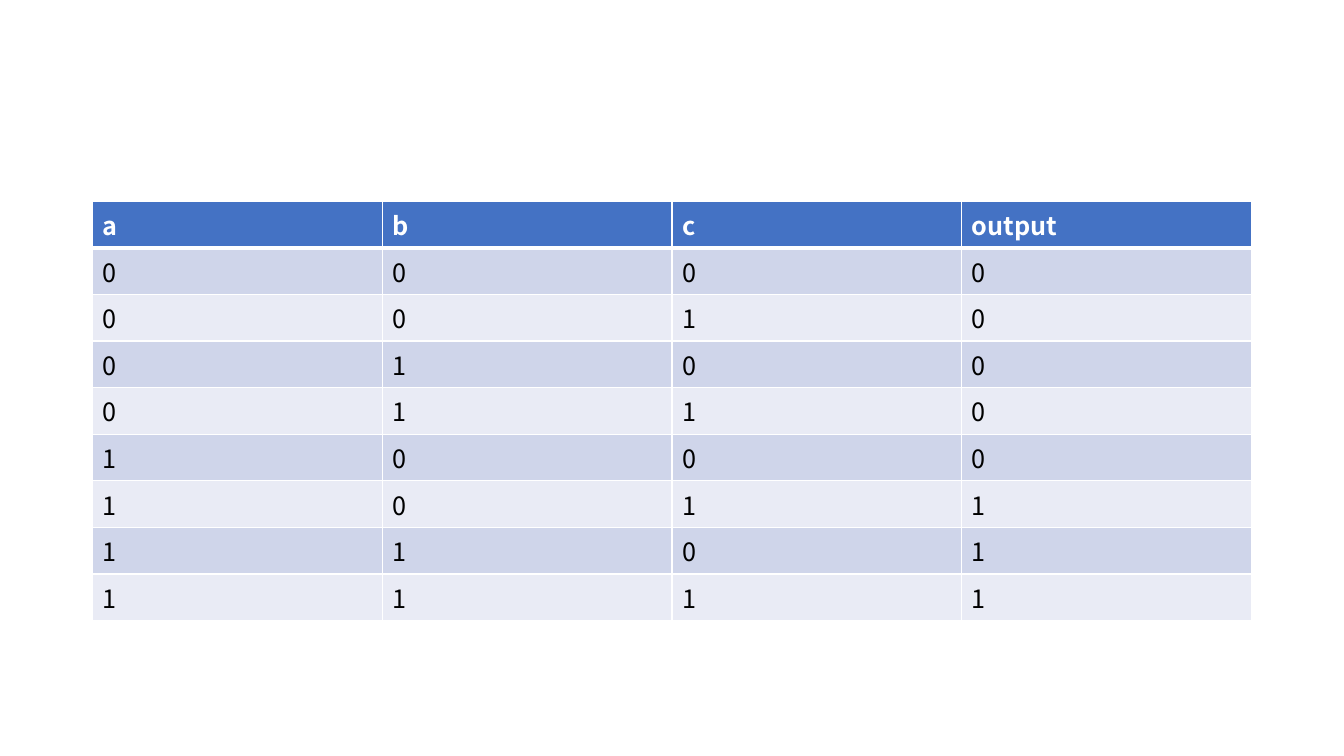
import itertools

import lxml.etree
import pptx
import pptx.dml.color
import pptx.oxml.ns
import pptx.util

Pt = pptx.util.Pt

FONT = "Noto Sans CJK SC"
COLOURS = {
    "header": "4472C4",
    "odd_row": "CFD5EA",
    "even_row": "E9EBF5",
    "border": "FFFFFF",
    "header_text": "FFFFFF",
    "body_text": "000000",
}
HEADINGS = ["a", "b", "c", "output"]
COLUMN_WIDTH = 207
ROW_HEIGHT = 29.2


def rgb(name):
    return pptx.dml.color.RGBColor.from_string(COLOURS[name])


def add_border(cell, side, width):
    """Draw one edge of a cell: side is L, R, T or B."""
    qn = pptx.oxml.ns.qn
    properties = cell._tc.get_or_add_tcPr()
    line = lxml.etree.SubElement(properties, qn(f"a:ln{side}"), w=str(Pt(width)))
    fill = lxml.etree.SubElement(line, qn("a:solidFill"))
    lxml.etree.SubElement(fill, qn("a:srgbClr"), val=COLOURS["border"])


def fill_cell(cell, text, row_index):
    is_header = row_index == 0

    # Borders, with a thick line below the header
    widths = {"L": 1, "R": 1, "T": 3 if row_index == 1 else 1, "B": 3 if is_header else 1}
    for side, width in widths.items():
        add_border(cell, side, width)

    # Banded background
    band = "header" if is_header else "odd_row" if row_index % 2 else "even_row"
    cell.fill.solid()
    cell.fill.fore_color.rgb = rgb(band)

    # Text
    run = cell.text_frame.paragraphs[0].add_run()
    run.text = text
    run.font.name = FONT
    run.font.size = Pt(18)
    run.font.bold = is_header
    run.font.color.rgb = rgb("header_text" if is_header else "body_text")


def add_truth_table(slide, rows, left, top):
    shape = slide.shapes.add_table(
        len(rows), len(HEADINGS), Pt(left), Pt(top),
        Pt(COLUMN_WIDTH * len(HEADINGS)), Pt(ROW_HEIGHT * len(rows)))
    table = shape.table
    for column in table.columns:
        column.width = Pt(COLUMN_WIDTH)
    for row_index, values in enumerate(rows):
        table.rows[row_index].height = Pt(ROW_HEIGHT)
        for column_index, value in enumerate(values):
            fill_cell(table.cell(row_index, column_index), str(value), row_index)


def main():
    presentation = pptx.Presentation()
    presentation.slide_width = Pt(960)
    presentation.slide_height = Pt(540)
    slide = presentation.slides.add_slide(presentation.slide_layouts[6])

    # Every combination of inputs, with output = a and (b or c)
    rows = [HEADINGS]
    for a, b, c in itertools.product([0, 1], repeat=3):
        rows.append([a, b, c, a & (b | c)])
    add_truth_table(slide, rows, left=66, top=143.75)

    presentation.save("out.pptx")


if __name__ == "__main__":
    main()
